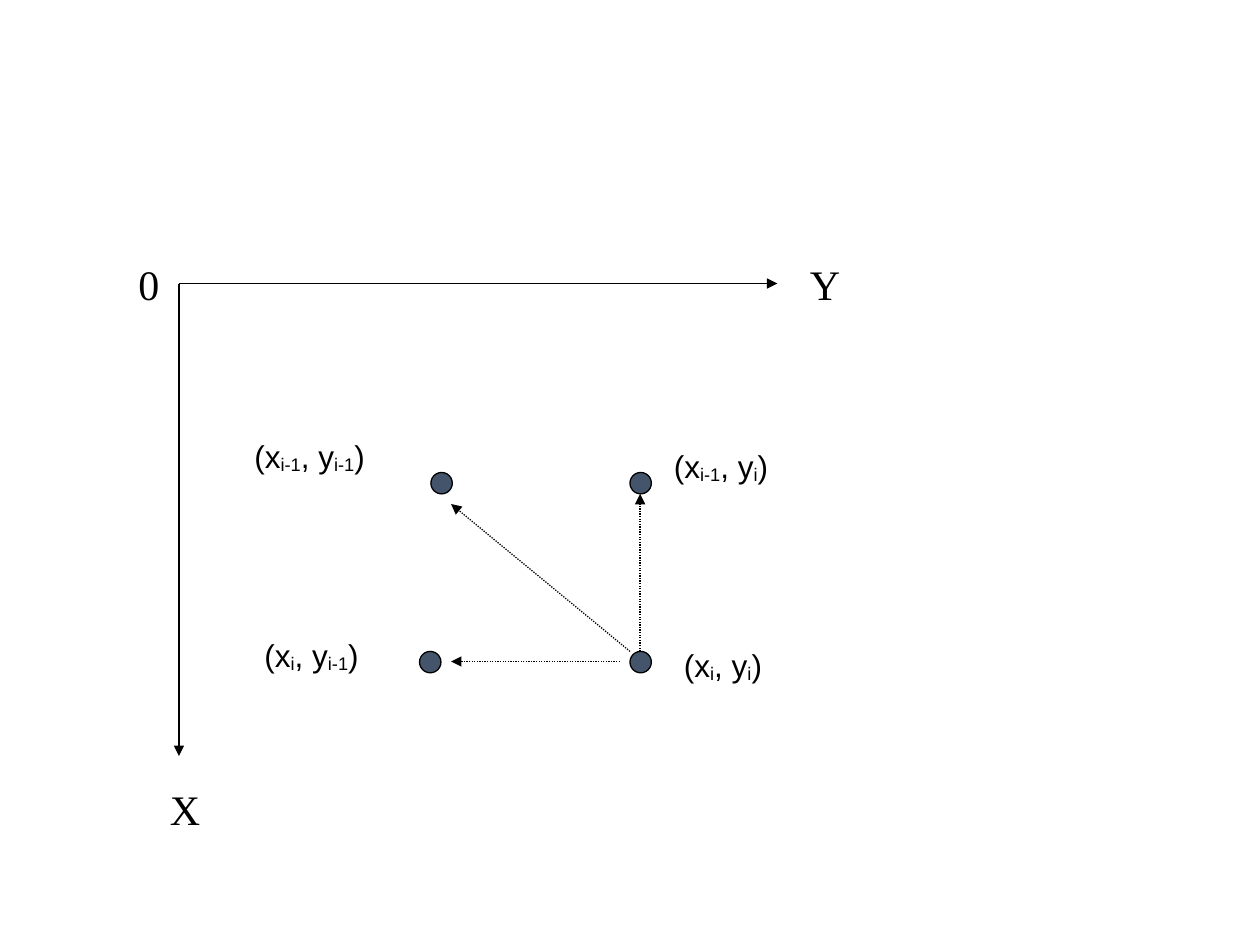
from dataclasses import dataclass

from pptx import Presentation
from pptx.dml.color import RGBColor
from pptx.enum.dml import MSO_LINE
from pptx.enum.shapes import MSO_CONNECTOR, MSO_SHAPE
from pptx.enum.text import MSO_AUTO_SIZE
from pptx.oxml.ns import qn
from pptx.slide import Slide
from pptx.util import Inches, Pt
from lxml.etree import SubElement

BLACK = RGBColor(0x00, 0x00, 0x00)
SLATE = RGBColor(0x44, 0x54, 0x6A)
DOT_SIZE = 0.17


@dataclass
class Arrow:
    x1: float
    y1: float
    x2: float
    y2: float
    dotted: bool = False


@dataclass
class Dot:
    left: float
    top: float


@dataclass
class AxisLabel:
    text: str
    left: float
    top: float
    width: float


@dataclass
class PointLabel:
    x_index: str
    y_index: str
    left: float
    top: float
    width: float


AXES = [Arrow(1.42, 2.25, 6.17, 2.25), Arrow(1.42, 2.25, 1.42, 6)]
DOTS = [Dot(5, 5.17), Dot(5, 3.75), Dot(3.33, 5.17), Dot(3.42, 3.75)]
STEPS = [
    Arrow(4.92, 5.25, 3.58, 5.25, dotted=True),
    Arrow(5.08, 5.17, 5.08, 3.92, dotted=True),
    Arrow(5, 5.17, 3.58, 4, dotted=True),
]
POINT_LABELS = [
    PointLabel("i", "i", 5.33, 5.08, 1),
    PointLabel("i-1", "i", 5.25, 3.5, 1.17),
    PointLabel("i", "i-1", 2, 5, 1.17),
    PointLabel("i-1", "i-1", 1.92, 3.42, 1.42),
]
AXIS_LABELS = [
    AxisLabel("X", 1.25, 6.17, 0.5),
    AxisLabel("Y", 6.33, 2, 0.5),
    AxisLabel("0", 1, 2, 0.33),
]


def add_arrow(s: Slide, arrow: Arrow) -> None:
    ends = (Inches(v) for v in (arrow.x1, arrow.y1, arrow.x2, arrow.y2))
    c = s.shapes.add_connector(MSO_CONNECTOR.STRAIGHT, *ends)
    c.line.color.rgb = BLACK
    c.line.width = Pt(0.75)
    if arrow.dotted:
        c.line.dash_style = MSO_LINE.ROUND_DOT  # written as sysDot
    SubElement(c.line._get_or_add_ln(), qn("a:tailEnd"), type="triangle")
    SubElement(c._element.spPr, qn("a:effectLst"))


def add_dot(s: Slide, dot: Dot) -> None:
    sp = s.shapes.add_shape(MSO_SHAPE.OVAL, Inches(dot.left), Inches(dot.top),
                            Inches(DOT_SIZE), Inches(DOT_SIZE))
    sp.shadow.inherit = False
    sp.fill.solid()
    sp.fill.fore_color.rgb = SLATE
    sp.line.color.rgb = BLACK
    sp.line.width = Pt(0.75)


def add_label(s: Slide, label: AxisLabel | PointLabel, height: float,
              runs: list[tuple[str, bool]], font: str, size: int) -> None:
    """Add a text box from (text, is_subscript) runs."""
    sp = s.shapes.add_textbox(Inches(label.left), Inches(label.top),
                              Inches(label.width), Inches(height))
    tf = sp.text_frame
    tf.word_wrap = True
    tf.auto_size = MSO_AUTO_SIZE.SHAPE_TO_FIT_TEXT
    p = tf.paragraphs[0]
    for text, subscript in runs:
        r = p.add_run()
        r.text = text
        r.font.name = font
        r.font.size = Pt(size)
        r.font.color.rgb = BLACK
        if subscript:
            r.font._element.set("baseline", "-10000")


def add_point_label(s: Slide, label: PointLabel) -> None:
    runs = [("(x", False), (label.x_index, True), (", y", False),
            (label.y_index, True), (")", False)]
    add_label(s, label, 0.4, runs, "Arial", 18)


def main() -> None:
    prs = Presentation()
    prs.slide_width, prs.slide_height = Inches(10), Inches(7.5)
    s = prs.slides.add_slide(prs.slide_layouts[6])
    for axis in AXES:
        add_arrow(s, axis)
    for dot in DOTS:
        add_dot(s, dot)
    for step in STEPS:
        add_arrow(s, step)
    for label in POINT_LABELS:
        add_point_label(s, label)
    for label in AXIS_LABELS:
        add_label(s, label, 0.5, [(label.text, False)], "Times New Roman", 24)
    prs.save("out.pptx")


if __name__ == "__main__":
    main()
